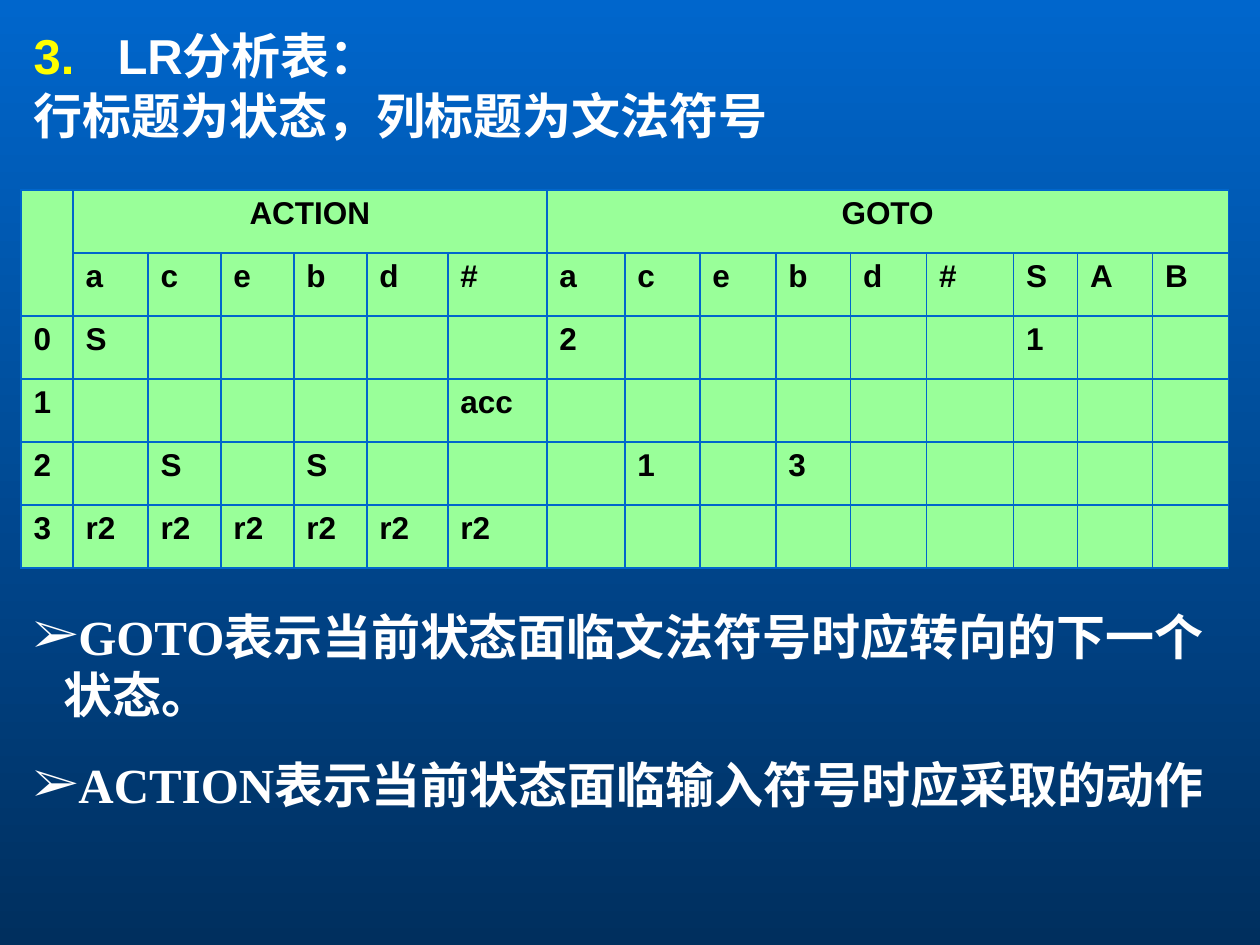
from dataclasses import dataclass

from lxml import etree
from pptx import Presentation
from pptx.dml.color import RGBColor
from pptx.enum.text import MSO_ANCHOR, MSO_AUTO_SIZE, PP_ALIGN
from pptx.oxml.ns import qn
from pptx.util import Pt

TOP = MSO_ANCHOR.TOP
FIXED, GROW = MSO_AUTO_SIZE.NONE, MSO_AUTO_SIZE.SHAPE_TO_FIT_TEXT
LEFT, CENTER = PP_ALIGN.LEFT, PP_ALIGN.CENTER
SCALE = 914400 / 126


@dataclass(frozen=True)
class Theme:
    sky: str = "0066CC"
    navy: str = "002F5E"
    mint: str = "99FF99"
    white: str = "FFFFFF"
    black: str = "000000"
    yellow: str = "FFFF00"
    sans: str = "Arial"
    serif: str = "Times New Roman"
    big: int = 28
    small: int = 18
    border: float = 1.08


def px(num):
    return round(num * SCALE)


def rgb(code):
    return RGBColor.from_string(code)


def add(parent, tag, **attrs):
    return etree.SubElement(parent, qn(tag), {key: str(val) for key, val in attrs.items()})


class Deck:
    def __init__(self, theme):
        self.theme = theme
        self.prs = Presentation()
        self.prs.slide_width, self.prs.slide_height = px(1260), px(945)
        self.slide = self.prs.slides.add_slide(self.prs.slide_layouts[5])

    def back(self):
        fill = self.slide.background.fill
        fill.gradient()
        fill.gradient_angle = 270
        for stop, code in zip(fill.gradient_stops, (self.theme.sky, self.theme.navy)):
            stop.color.rgb = rgb(code)

    def style(self, para, size, face, code, align=LEFT):
        para.alignment = align
        font = para.font
        font.size, font.name, font.bold = Pt(size), face, True
        font.color.rgb = rgb(code)

    def bullet(self, para, indent, code, face, tag, **attrs):
        props = para._p.get_or_add_pPr()
        props.set("marL", str(px(indent)))
        props.set("indent", str(px(-indent)))
        if tag != "a:buNone":
            add(add(props, "a:buClr"), "a:srgbClr", val=code)
            add(props, "a:buFont", typeface=face)
        add(props, tag, **attrs)

    def fill_text(self, frame, lines, size, face, marks, indent, gap, fit):
        frame.word_wrap = True
        frame.auto_size = fit
        frame.vertical_anchor = TOP
        frame.text = "\n".join(lines)
        for row, (para, mark) in enumerate(zip(frame.paragraphs, marks)):
            code, tag, attrs = mark
            self.bullet(para, indent, code, face, tag, **attrs)
            para.space_before = Pt(gap if row else 0)
            self.style(para, size, face, self.theme.white)

    def title(self, box, lines):
        shape = self.slide.shapes.title
        shape.left, shape.top, shape.width, shape.height = map(px, box)
        look = self.theme
        marks = [
            (look.yellow, "a:buAutoNum", {"type": "arabicPeriod", "startAt": 3}),
            (look.white, "a:buNone", {}),
        ]
        self.fill_text(shape.text_frame, lines, look.big, look.sans, marks, 84, 7, FIXED)
        for para in shape.text_frame.paragraphs:
            para.line_spacing = 0.8

    def notes(self, box, lines):
        frame = self.slide.shapes.add_textbox(*map(px, box)).text_frame
        look = self.theme
        marks = [(look.white, "a:buChar", {"char": "➢"})] * len(lines)
        self.fill_text(frame, lines, look.big, look.serif, marks, 30, 17.5, GROW)

    def cell(self, cell, text, align):
        look = self.theme
        cell.text = text
        self.style(cell.text_frame.paragraphs[0], look.small, look.sans, look.black, align)
        props = cell._tc.get_or_add_tcPr()
        for side in "LRTB":
            line = add(props, f"a:ln{side}", w=Pt(look.border))
            add(add(line, "a:solidFill"), "a:srgbClr", val=look.sky)
        cell.fill.solid()
        cell.fill.fore_color.rgb = rgb(look.mint)

    def table(self, left, top, widths, high, rows, spans):
        size = len(rows), len(widths)
        box = left, top, sum(widths), high * len(rows)
        grid = self.slide.shapes.add_table(*size, *map(px, box)).table
        grid.first_row = grid.horz_banding = False
        for col, wide in zip(grid.columns, widths):
            col.width = px(wide)
        for r, row in enumerate(rows):
            grid.rows[r].height = px(high)
            for c in range(len(widths)):
                self.cell(grid.cell(r, c), row.get(c, ""), LEFT if r else CENTER)
        for start, end in spans:
            grid.cell(*start).merge(grid.cell(*end))


def main():
    deck = Deck(Theme())
    deck.back()
    deck.title((21, 31, 1197, 126), ["LR分析表：", "行标题为状态，列标题为文法符号"])
    deck.notes((21, 600, 1197, 279), [
        "GOTO表示当前状态面临文法符号时应转向的下一个状态。",
        "ACTION表示当前状态面临输入符号时应采取的动作",
    ])
    widths = [52, 75, 73, 73, 73, 81, 99, 78, 75, 76, 75, 76, 87, 64, 75, 76]
    rows = [
        {1: "ACTION", 7: "GOTO"},
        dict(enumerate("acebd#acebd#SAB", 1)),
        {0: "0", 1: "S", 7: "2", 13: "1"},
        {0: "1", 6: "acc"},
        {0: "2", 2: "S", 4: "S", 8: "1", 10: "3"},
        {0: "3", **dict.fromkeys(range(1, 7), "r2")},
    ]
    spans = [((0, 0), (1, 0)), ((0, 1), (0, 6)), ((0, 7), (0, 15))]
    deck.table(21, 190, widths, 63, rows, spans)
    deck.prs.save("out.pptx")


if __name__ == "__main__":
    main()
